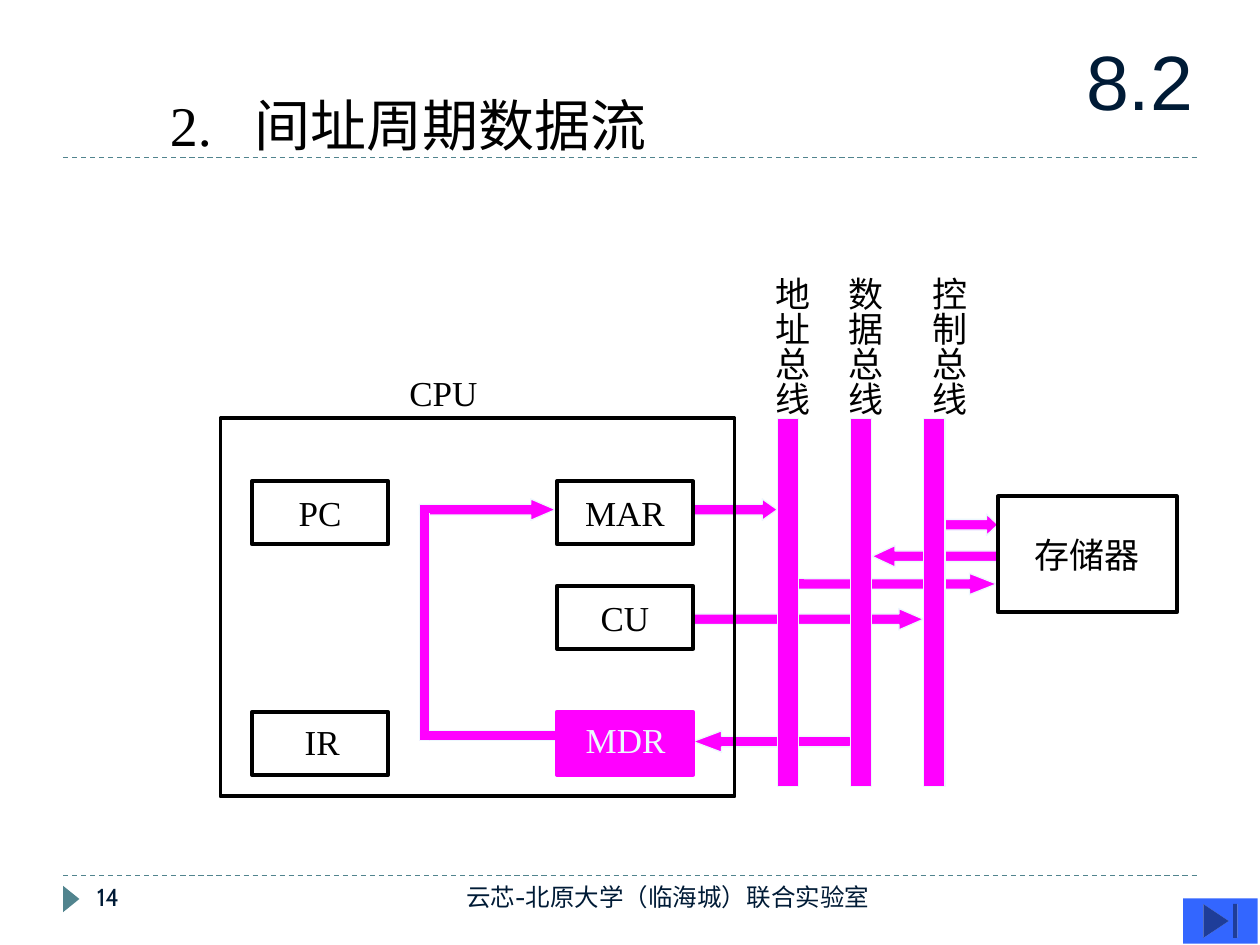
from typing import NamedTuple

from lxml import etree
from pptx import Presentation
from pptx.dml.color import RGBColor
from pptx.enum.dml import MSO_LINE
from pptx.enum.shapes import MSO_CONNECTOR, MSO_SHAPE
from pptx.enum.text import MSO_ANCHOR, PP_ALIGN
from pptx.oxml.ns import qn
from pptx.util import Pt

RECT, ARROW = MSO_SHAPE.RECTANGLE, MSO_SHAPE.RIGHT_ARROW
WEDGE, END = MSO_SHAPE.ISOSCELES_TRIANGLE, MSO_SHAPE.ACTION_BUTTON_END
STRAIGHT, DASH = MSO_CONNECTOR.STRAIGHT, MSO_LINE.DASH
TOP, MIDDLE = MSO_ANCHOR.TOP, MSO_ANCHOR.MIDDLE
LEFT, CENTER, RIGHT = PP_ALIGN.LEFT, PP_ALIGN.CENTER, PP_ALIGN.RIGHT

PX = 9144  # 100 px to the inch
PINK, PALE, BLACK = "FF00FF", "EDF8FE", "000000"
TEAL, NAVY, BLUE = "51848E", "001B36", "3366FF"
SERIF, SANS, SMALL = "Times New Roman", "Arial", "Cabin"


class Box(NamedTuple):
    x: int
    y: int
    w: int
    h: int


class Arrow(NamedTuple):
    box: Box
    head: float
    turn: int = 0


class Label(NamedTuple):
    text: str
    box: Box
    size: int = 20
    font: str = SERIF
    color: str = BLACK
    align: PP_ALIGN = LEFT
    anchor: MSO_ANCHOR = TOP
    wrap: bool = False
    tall: bool = False
    tab: int = 0


def emu(box: Box) -> list[int]:
    return [n * PX for n in box]


def rgb(code: str) -> RGBColor:
    return RGBColor.from_string(code)


def assign(target, values: dict) -> None:
    for key, value in values.items():
        setattr(target, key, value)


def add_shape(slide, kind, box: Box, fill="", line="", width=0.75, turn=0):
    shape = slide.shapes.add_shape(kind, *emu(box))
    shape.shadow.inherit = False
    shape.rotation = turn
    if fill:
        shape.fill.solid()
        shape.fill.fore_color.rgb = rgb(fill)
    else:
        shape.fill.background()
    if line:
        shape.line.color.rgb = rgb(line)
        shape.line.width = Pt(width)
    else:
        shape.line.fill.background()
    return shape


def write(shape, label: Label) -> None:
    frame = shape.text_frame
    assign(frame, {"word_wrap": label.wrap, "vertical_anchor": label.anchor})
    if label.tall:
        frame._txBody.bodyPr.set("vert", "eaVert")
    para = frame.paragraphs[0]
    para.alignment = label.align
    if label.tab:
        stops = etree.SubElement(para._p.get_or_add_pPr(), qn("a:tabLst"))
        etree.SubElement(stops, qn("a:tab"), pos=str(label.tab * PX), algn="l")
    run = para.add_run()
    run.text = label.text
    assign(run.font, {"name": label.font, "size": Pt(label.size)})
    run.font.color.rgb = rgb(label.color)


def add_label(slide, label: Label) -> None:
    write(slide.shapes.add_textbox(*emu(label.box)), label)


def add_arrow(slide, arrow: Arrow) -> None:
    shape = add_shape(slide, ARROW, arrow.box, PINK, PALE, turn=arrow.turn)
    shape.adjustments[1] = arrow.head


def add_rule(slide, y: int) -> None:
    rule = slide.shapes.add_connector(STRAIGHT, *emu(Box(50, y, 950, y)))
    rule.line.color.rgb = rgb(TEAL)
    assign(rule.line, {"width": Pt(0.75), "dash_style": DASH})
    etree.SubElement(rule._element.spPr, qn("a:effectLst"))


def main() -> None:
    deck = Presentation()
    assign(deck, {"slide_width": 1000 * PX, "slide_height": 750 * PX})
    slide = deck.slides.add_slide(deck.slide_layouts[6])

    # Rules and footer marker
    for y in (695, 125):
        add_rule(slide, y)
    add_shape(slide, WEDGE, Box(46, 707, 21, 13), TEAL, turn=90)

    # Data flow arrows, behind the buses
    for arrow in (
        Arrow(Box(692, 433, 100, 17), 1.07, 180),
        Arrow(Box(550, 483, 183, 17), 1.15),
        Arrow(Box(550, 396, 67, 17), 0.71),
        Arrow(Box(633, 455, 158, 17), 1.27),
        Arrow(Box(550, 580, 125, 17), 1.33, 180),
        Arrow(Box(333, 396, 108, 17), 1.16),
        Arrow(Box(742, 408, 50, 17), 0.53),
    ):
        add_arrow(slide, arrow)

    # Path from MDR to MAR, then the patches over its joints
    for box in (Box(333, 580, 108, 8), Box(333, 405, 8, 183)):
        add_shape(slide, RECT, box, PINK, PALE)
    for box in (Box(336, 581, 6, 6), Box(334, 401, 14, 6),
                Box(630, 460, 8, 5), Box(672, 586, 8, 5)):
        add_shape(slide, RECT, box, PINK, PINK)

    # Buses with vertical names
    buses = (("地址总线", 617, 597), ("数据总线", 675, 655),
             ("控制总线", 733, 722))
    for name, x, left in buses:
        add_shape(slide, RECT, Box(x, 332, 17, 292), PINK, PALE)
        add_label(slide, Label(name, Box(left, 210, 53, 122), tall=True))

    # CPU frame, registers and memory
    add_shape(slide, RECT, Box(175, 332, 408, 300), line=BLACK, width=2.25)
    for name, box in (
        ("PC", Box(200, 382, 108, 50)),
        ("MAR", Box(442, 382, 108, 50)),
        ("CU", Box(442, 465, 108, 50)),
        ("存储器", Box(792, 394, 142, 92)),
    ):
        part = add_shape(slide, RECT, box, line=BLACK, width=2.25)
        write(part, Label(name, box, align=CENTER, anchor=MIDDLE))
    add_shape(slide, RECT, Box(200, 565, 108, 50), line=BLACK, width=2.25)
    add_shape(slide, RECT, Box(442, 565, 108, 50), PINK, PINK, 2.25)

    # Free labels, title and footer
    for label in (
        Label("CPU", Box(315, 290, 77, 43)),
        Label("IR", Box(232, 567, 51, 43)),
        Label("MDR", Box(455, 565, 88, 44), color=PALE),
        Label("2.\t间址周期数据流", Box(125, 67, 625, 63), 32, wrap=True, tab=67),
        Label("8.2", Box(842, 17, 125, 92), 44, SANS, NAVY, CENTER, MIDDLE, True),
        Label("14", Box(67, 695, 217, 40), 14, SMALL, NAVY, wrap=True),
        Label("云芯-北原大学（临海城）联合实验室", Box(317, 695, 383, 40), 14,
              SMALL, NAVY, RIGHT, wrap=True),
    ):
        add_label(slide, label)
    add_shape(slide, END, Box(939, 713, 59, 36), BLUE)

    deck.save("out.pptx")


if __name__ == "__main__":
    main()
